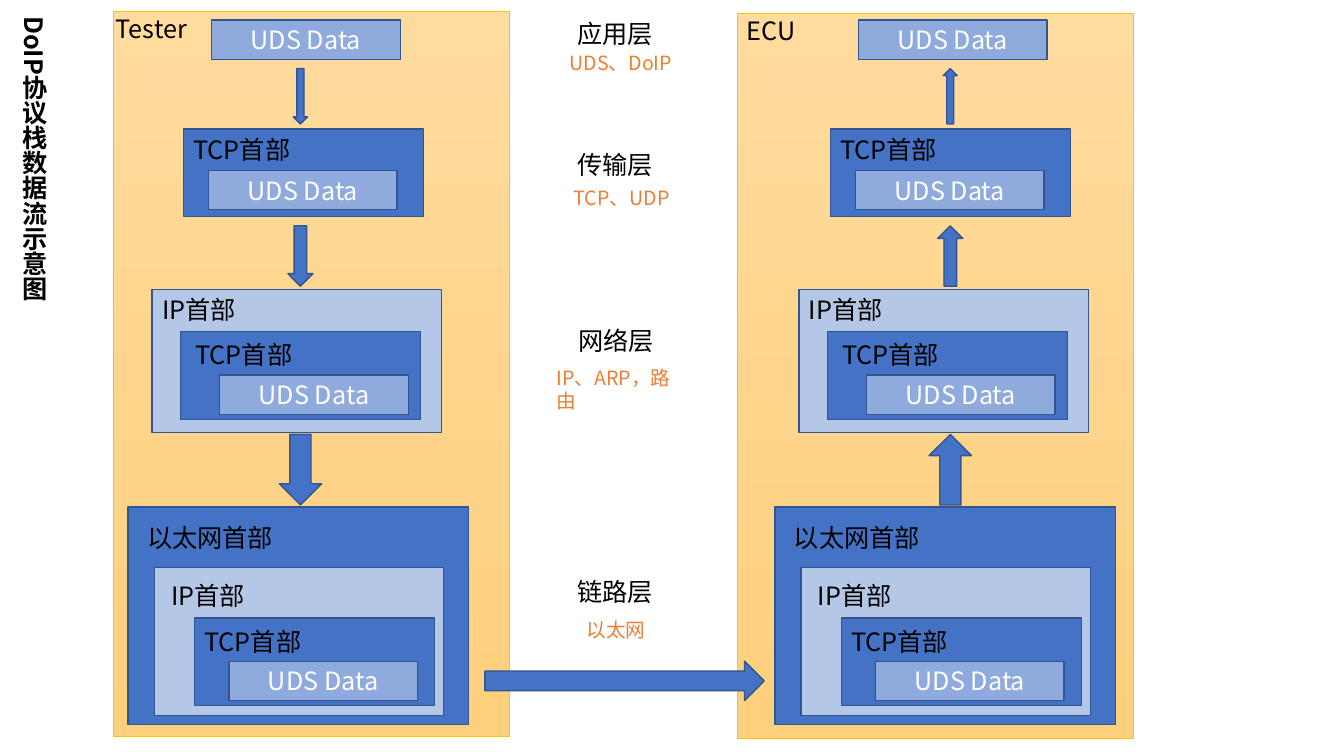
from pptx import Presentation
from pptx.dml.color import RGBColor
from pptx.enum.shapes import MSO_SHAPE
from pptx.enum.text import MSO_ANCHOR, MSO_AUTO_SIZE, PP_ALIGN
from pptx.util import Inches, Pt
from lxml.etree import SubElement
from pptx.oxml.ns import qn

FONT = "Noto Sans CJK SC"
BLUE, EDGE, BLACK, ORANGE = "4472C4", "325491", "000000", "ED7D31"
CELL = Inches(0.1)  # the grid has square cells, ten to the inch

# kind: width, height, fill, label, label width
KINDS = {
    "uds": (18.7, 3.9, "8FAADC", "UDS Data", 0),
    "tcp": (23.8, 8.7, BLUE, "TCP首部", 12.7),
    "ip": (28.7, 14.2, "B4C7E7", "IP首部", 13.6),
    "eth": (33.8, 21.6, BLUE, "以太网首部", 14.8),
}
# kind, column and row in the stack, label shift, extra height
FRAMES = [
    ("uds", 8.3, 0, 0, 0, 0),
    ("tcp", 5.5, 10.8, 0, 0, 0),
    ("uds", 8, 14.9, 0, 0, 0),
    ("ip", 2.4, 26.7, 0, 0, 0),
    ("tcp", 5.2, 30.9, 0.5, 0.3, 0),
    ("uds", 9.1, 35.2, 0, 0, 0),
    ("eth", 0, 48.3, 0.9, 1, 0),
    ("ip", 2.6, 54.3, 0.7, 0.8, 0.5),
    ("tcp", 6.6, 59.3, 0, 0.3, 0),
    ("uds", 10, 63.6, 0, 0, 0),
]
# row in the stack, width, height
ARROWS = [(4.8, 1.4, 5.5), (20.4, 2.5, 6), (41.1, 4.2, 7)]
# layer: column, row, width; then its protocols in the same way
LAYERS = [
    ("应用层", 56.3, 1.3, 12.7, "UDS、DoIP", 55.5, 4.6, 12.9),
    ("传输层", 56.3, 14.3, 10.7, "TCP、UDP", 55.9, 18, 11.5),
    ("网络层", 56.4, 31.8, 10.7, "IP、ARP，路由", 54.2, 35.8, 15),
    ("链路层", 56.3, 56.7, 11, "以太网", 57.2, 60.8, 10.2),
]


def paint(hue):
    """Turn a hex string into a colour."""
    return RGBColor.from_string(hue)


def place(*box):
    """Turn grid cells into slide lengths."""
    return [round(n * CELL) for n in box]


def put(item, **style):
    """Set each attribute in style on item."""
    for name, value in style.items():
        setattr(item, name, value)


def write(frame, words, size=18, hue=BLACK, bold=False, align=None,
          anchor=MSO_ANCHOR.TOP):
    """Write one styled paragraph into a text frame."""
    put(frame, text=words, word_wrap=True, vertical_anchor=anchor)
    para = frame.paragraphs[0]
    put(para, alignment=align, line_spacing=1.0)
    run = para.runs[0]
    put(run.font, name=FONT, size=Pt(size), bold=bold)
    run.font.color.rgb = paint(hue)
    SubElement(run.font._element, qn("a:ea")).set("typeface", FONT)


def note(slide, words, box, **style):
    """Add a plain text box."""
    write(slide.shapes.add_textbox(*place(*box)).text_frame, words, **style)


def draw(slide, kind, box, fill=BLUE, edge=EDGE, width=1):
    """Add a preset shape with a flat fill, or a gradient for a pair."""
    shape = slide.shapes.add_shape(kind, *place(*box))
    shape.shadow.inherit = False
    if isinstance(fill, tuple):
        shape.fill.gradient()
        shape.fill.gradient_angle = 270
        for stop, hue in zip(shape.fill.gradient_stops, fill):
            stop.color.rgb = paint(hue)
    else:
        shape.fill.solid()
        shape.fill.fore_color.rgb = paint(fill)
    shape.line.color.rgb = paint(edge)
    shape.line.width = Pt(width)
    return shape


def panel(slide, box, name, shift):
    """Draw one node's backdrop and its name."""
    left, top = box[:2]
    draw(slide, MSO_SHAPE.RECTANGLE, box, ("FFDB9E", "FFD07C"), "FFC000", 0.5)
    note(slide, name, (left + shift, top - 0.25, 10, 4))


def stack(slide, left, top, axis, turn):
    """Draw the nested packets and the arrows between their stages."""
    for kind, col, row, right, down, extra in FRAMES:
        wide, high, fill, words, span = KINDS[kind]
        x, y = left + col, top + row
        shape = draw(slide, MSO_SHAPE.RECTANGLE, (x, y, wide, high + extra), fill)
        if span:
            note(slide, words, (x + right, y + down, span, 4))
        else:
            write(shape.text_frame, words, hue="FFFFFF",
                  align=PP_ALIGN.CENTER, anchor=MSO_ANCHOR.MIDDLE)
    for row, wide, high in ARROWS:
        box = (left + axis - wide / 2, top + row, wide, high)
        draw(slide, MSO_SHAPE.DOWN_ARROW, box).rotation = turn


def layers(slide):
    """Write the layer names and protocols between the nodes."""
    for name, x, y, wide, terms, col, row, span in LAYERS:
        note(slide, name, (x, y, wide, 4))
        note(slide, terms, (col, row, span, 3.4), size=14, hue=ORANGE)


def title(slide, box, words):
    """Set the title upright along the left edge."""
    head = slide.shapes.title
    put(head, **dict(zip(("left", "top", "width", "height"), place(*box))))
    frame = head.text_frame
    write(frame, words, bold=True, align=PP_ALIGN.LEFT)
    frame.auto_size = MSO_AUTO_SIZE.NONE
    frame._txBody.bodyPr.set("vert", "eaVert")


def main():
    """Build the slide and save it."""
    deck = Presentation()
    put(deck, slide_width=Inches(13.33), slide_height=Inches(7.5))
    slide = deck.slides.add_slide(deck.slide_layouts[5])
    title(slide, (0.9, 1.1, 5, 31.8), "DoIP协议栈数据流示意图")
    panel(slide, (11.2, 1.1, 39.3, 72), "Tester", -0.7)
    panel(slide, (73.1, 1.3, 39.3, 72), "ECU", 0)
    stack(slide, 12.7, 2, 17.1, 0)
    stack(slide, 76.85, 2, 17.4, 180)
    draw(slide, MSO_SHAPE.RIGHT_ARROW, (48.1, 65.6, 27.7, 3.9))
    layers(slide)
    deck.save("out.pptx")


main()
